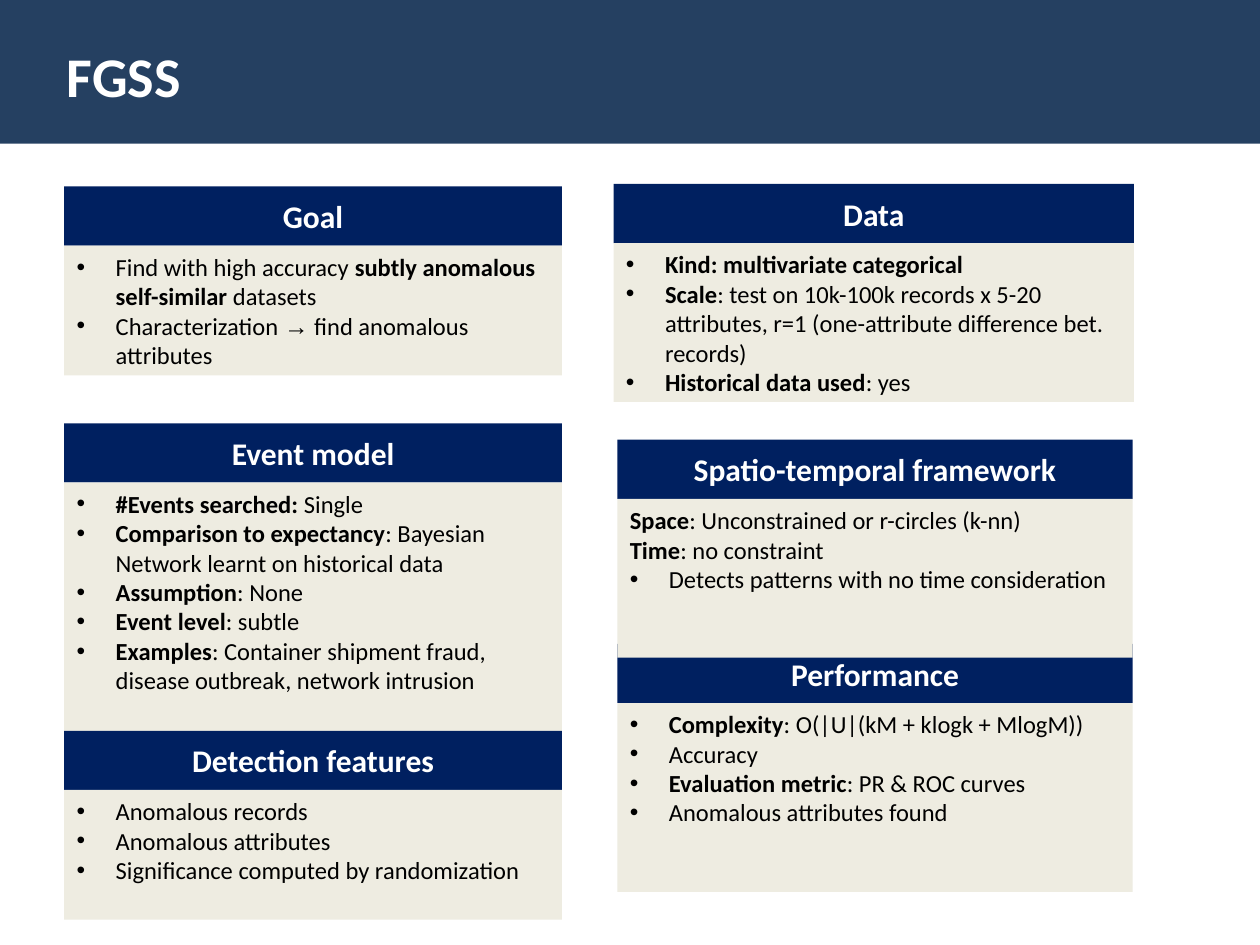
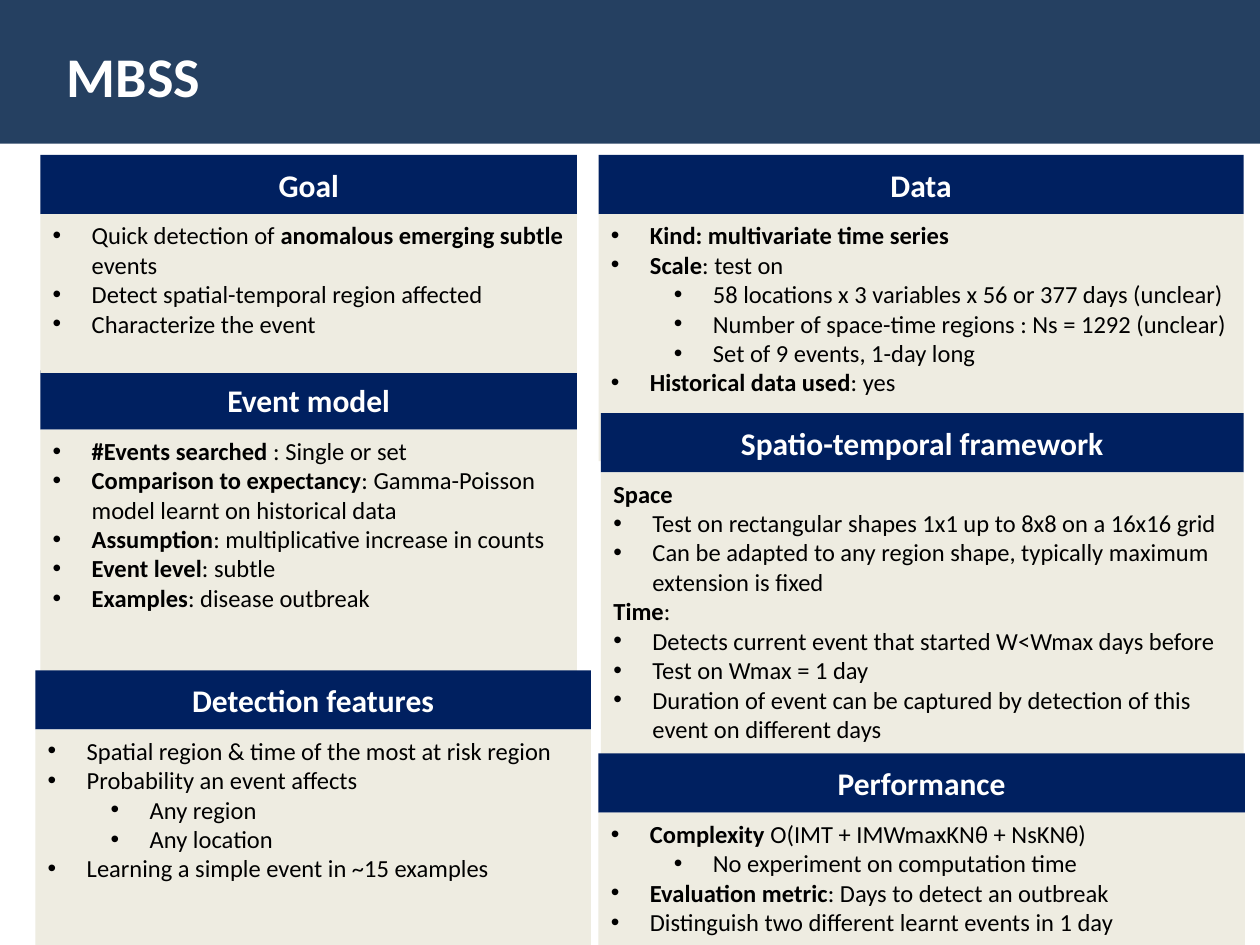
from dataclasses import dataclass

from lxml import etree
from pptx import Presentation
from pptx.dml.color import RGBColor
from pptx.enum import shapes, text
from pptx.oxml.ns import qn
from pptx.util import Inches, Pt


@dataclass(frozen=True)
class Theme:
    band: RGBColor = RGBColor(0x25, 0x40, 0x61)
    heading: RGBColor = RGBColor(0x00, 0x20, 0x60)
    panel: RGBColor = RGBColor(0xEE, 0xEC, 0xE1)
    light: RGBColor = RGBColor(0xFF, 0xFF, 0xFF)
    dark: RGBColor = RGBColor(0x00, 0x00, 0x00)
    font: str = "Calibri"
    symbol_font: str = "Arial"
    title_size: int = 32
    heading_size: int = 18
    body_size: int = 14


THEME = Theme()
TITLE_ONLY = 5
HEADING_HEIGHT = 0.47
BULLET_INDENT = 0.31
LEVEL_STEP = 0.5
ARROW = "→"
FRAME = {
    "word_wrap": True,
    "auto_size": text.MSO_AUTO_SIZE.NONE,
    "margin_left": Inches(0.1),
    "margin_right": Inches(0.1),
    "margin_top": Inches(0.05),
    "margin_bottom": Inches(0.05),
}


@dataclass(frozen=True)
class Panel:
    """Heading over a list; lines use "- " and "-- " for bullets, ** for bold."""
    heading: str
    left: float
    top: float
    width: float
    body_height: float
    lines: tuple


FGSS = (
    Panel("Data", 4.87, 1.46, 4.13, 1.26, (
        "- **Kind: multivariate categorical**",
        "- **Scale**: test on 10k-100k records x 5-20 attributes, "
        "r=1 (one-attribute difference bet. records)",
        "- **Historical data used**: yes",
    )),
    Panel("Performance", 4.9, 5.11, 4.09, 1.5, (
        "- **Complexity**: O(|U|(kM + klogk + MlogM))",
        "- Accuracy",
        "- **Evaluation metric**: PR & ROC curves",
        "- Anomalous attributes found",
    )),
    Panel("Event model", 0.51, 3.36, 3.95, 2.2, (
        "- **#Events searched: **Single",
        "- **Comparison to expectancy**: Bayesian Network learnt on historical data",
        "- **Assumption**: None",
        "- **Event level**: subtle",
        "- **Examples**: Container shipment fraud, disease outbreak, network intrusion",
    )),
    Panel("Detection features", 0.51, 5.8, 3.95, 1.03, (
        "- Anomalous records",
        "- Anomalous attributes",
        "- Significance computed by randomization",
    )),
    Panel("Goal", 0.51, 1.48, 3.95, 1.03, (
        "- Find with high accuracy **subtly anomalous self-similar** datasets",
        "- Characterization → find anomalous attributes",
    )),
    Panel("Spatio-temporal framework", 4.9, 3.49, 4.09, 1.26, (
        "**Space**: Unconstrained or r-circles (k-nn)",
        "**Time**: no constraint",
        "- Detects patterns with no time consideration",
    )),
)

MBSS = (
    Panel("Data", 4.75, 1.23, 5.12, 1.96, (
        "- **Kind: multivariate time series**",
        "- **Scale**: test on",
        "-- 58 locations x 3 variables x 56 or 377 days (unclear)",
        "-- Number of space-time regions : Ns = 1292 (unclear)",
        "-- Set of 9 events, 1-day long",
        "- **Historical data used**: yes",
    )),
    Panel("Event model", 0.32, 2.94, 4.26, 1.96, (
        "- **#Events searched **: Single or set",
        "- **Comparison to expectancy**: Gamma-Poisson model learnt on historical data",
        "- **Assumption**: multiplicative increase in counts",
        "- **Event level**: subtle",
        "- **Examples**: disease outbreak",
    )),
    Panel("Goal", 0.32, 1.23, 4.26, 1.26, (
        "- Quick detection of **anomalous emerging subtle **events",
        "- Detect spatial-temporal region affected",
        "- Characterize the event",
    )),
    Panel("Spatio-temporal framework", 4.77, 3.28, 5.1, 2.66, (
        "**Space**",
        "- Test on rectangular shapes 1x1 up to 8x8 on a 16x16 grid",
        "- Can be adapted to any region shape, typically maximum extension is fixed",
        "**Time**:",
        "- Detects current event that started W<Wmax days before",
        "- Test on Wmax = 1 day",
        "- Duration of event can be captured by detection of this event on different days",
    )),
    Panel("Detection features", 0.28, 5.32, 4.41, 1.73, (
        "- Spatial region & time of the most at risk region",
        "- Probability an event affects",
        "-- Any region",
        "-- Any location",
        "- Learning a simple event in ~15 examples",
    )),
    Panel("Performance", 4.75, 5.98, 5.13, 1.26, (
        "- **Complexity** O(IMT + IMWmaxKNθ + NsKNθ)",
        "-- No experiment on computation time",
        "- **Evaluation metric**: Days to detect an outbreak",
        "- Distinguish two different learnt events in 1 day",
    )),
)


def apply_format(target, values):
    for name, value in values.items():
        setattr(target, name, value)


def add_run(paragraph, words, size, color, bold=False, font=THEME.font):
    run = paragraph.add_run()
    run.text = words
    apply_format(run.font, {"name": font, "size": Pt(size), "bold": bold})
    run.font.color.rgb = color


def add_block(slide, left, top, width, height, color, anchor=text.MSO_ANCHOR.TOP):
    block = slide.shapes.add_shape(
        shapes.MSO_SHAPE.RECTANGLE, *map(Inches, (left, top, width, height)))
    block.shadow.inherit = False
    block.fill.solid()
    block.fill.fore_color.rgb = color
    block.line.fill.background()
    apply_format(block.text_frame, FRAME | {"vertical_anchor": anchor})
    return block


def set_bullet(paragraph, depth):
    level = depth - 1
    paragraph.level = level
    properties = paragraph._p.get_or_add_pPr()
    properties.set("marL", str(Inches(BULLET_INDENT + LEVEL_STEP * level)))
    properties.set("indent", str(-Inches(BULLET_INDENT)))
    color = etree.SubElement(properties, qn("a:buClr"))
    etree.SubElement(color, qn("a:srgbClr"), val=str(THEME.dark))
    etree.SubElement(properties, qn("a:buFont"), typeface=THEME.symbol_font)
    etree.SubElement(properties, qn("a:buChar"), char="•")


def write_line(paragraph, line):
    paragraph.alignment = text.PP_ALIGN.LEFT
    words = line.lstrip("-")
    depth = len(line) - len(words)
    if depth:
        set_bullet(paragraph, depth)
        words = words.lstrip()
    for index, piece in enumerate(words.split("**")):
        for chunk in filter(None, piece.partition(ARROW)):
            font = THEME.symbol_font if chunk == ARROW else THEME.font
            add_run(paragraph, chunk, THEME.body_size, THEME.dark, index % 2 == 1, font)


def add_panel(slide, panel):
    heading = add_block(slide, panel.left, panel.top, panel.width, HEADING_HEIGHT,
                        THEME.heading, text.MSO_ANCHOR.MIDDLE)
    heading_line = heading.text_frame.paragraphs[0]
    heading_line.alignment = text.PP_ALIGN.CENTER
    add_run(heading_line, panel.heading, THEME.heading_size, THEME.light, True)

    body = add_block(slide, panel.left, panel.top + HEADING_HEIGHT, panel.width,
                     panel.body_height, THEME.panel)
    frame = body.text_frame
    for index, line in enumerate(panel.lines):
        write_line(frame.add_paragraph() if index else frame.paragraphs[0], line)


def add_title(slide, words):
    title = slide.shapes.title
    band = add_block(slide, 0, -0.01, 10, 1.15, THEME.band)
    title._element.addprevious(band._element)
    apply_format(title, {"left": Inches(0.43), "top": Inches(0.28),
                         "width": Inches(9.13), "height": Inches(0.63)})
    title.fill.solid()
    title.fill.fore_color.rgb = THEME.band
    apply_format(title.text_frame, FRAME | {"vertical_anchor": text.MSO_ANCHOR.TOP})
    title_line = title.text_frame.paragraphs[0]
    title_line.alignment = text.PP_ALIGN.LEFT
    add_run(title_line, words, THEME.title_size, THEME.light, True)


def add_method_slide(deck, name, panels):
    slide = deck.slides.add_slide(deck.slide_layouts[TITLE_ONLY])
    add_title(slide, name)
    for panel in panels:
        add_panel(slide, panel)


def main():
    deck = Presentation()
    apply_format(deck, {"slide_width": Inches(10), "slide_height": Inches(7.5)})
    add_method_slide(deck, "FGSS", FGSS)
    add_method_slide(deck, "MBSS", MBSS)
    deck.save("out.pptx")


if __name__ == "__main__":
    main()
